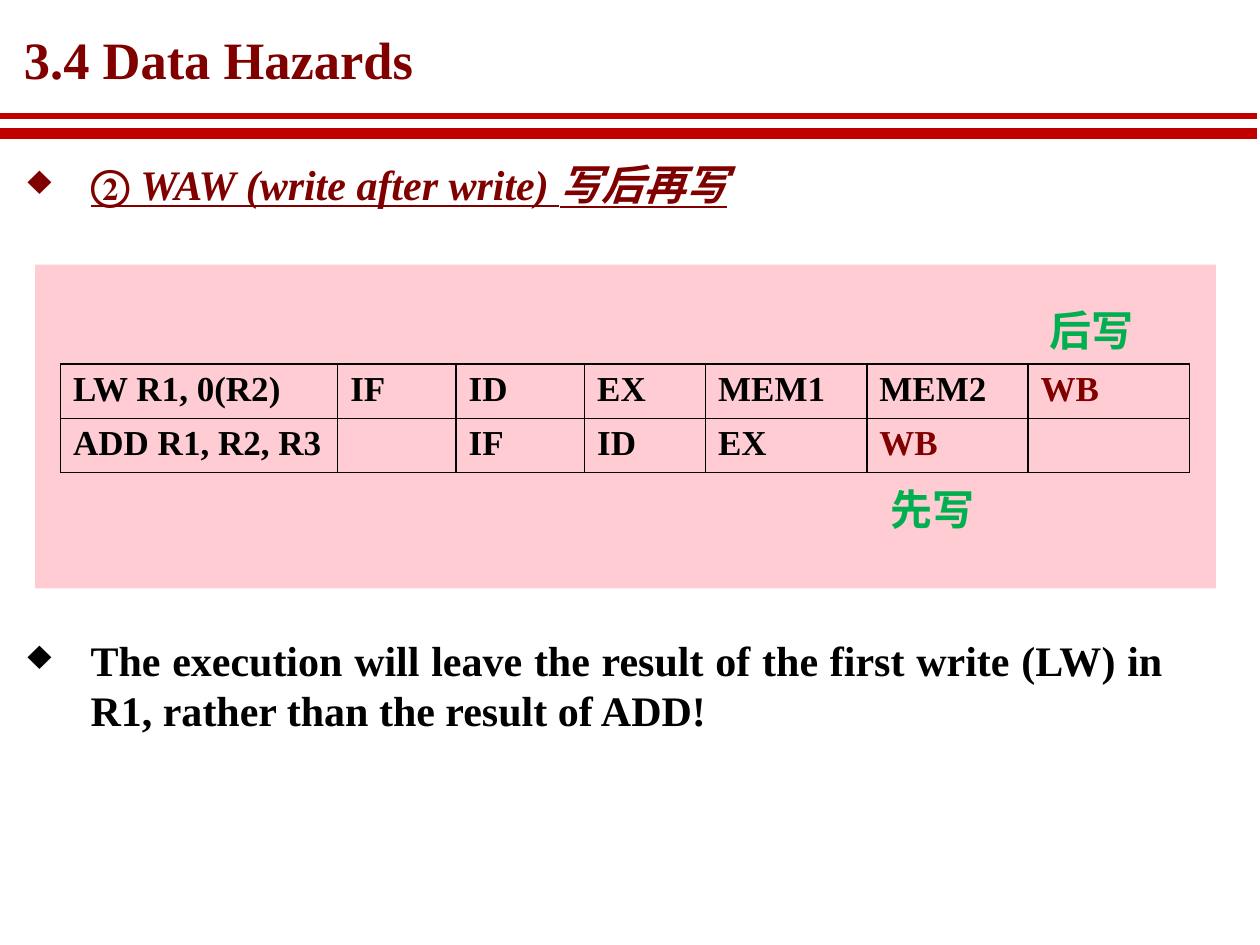
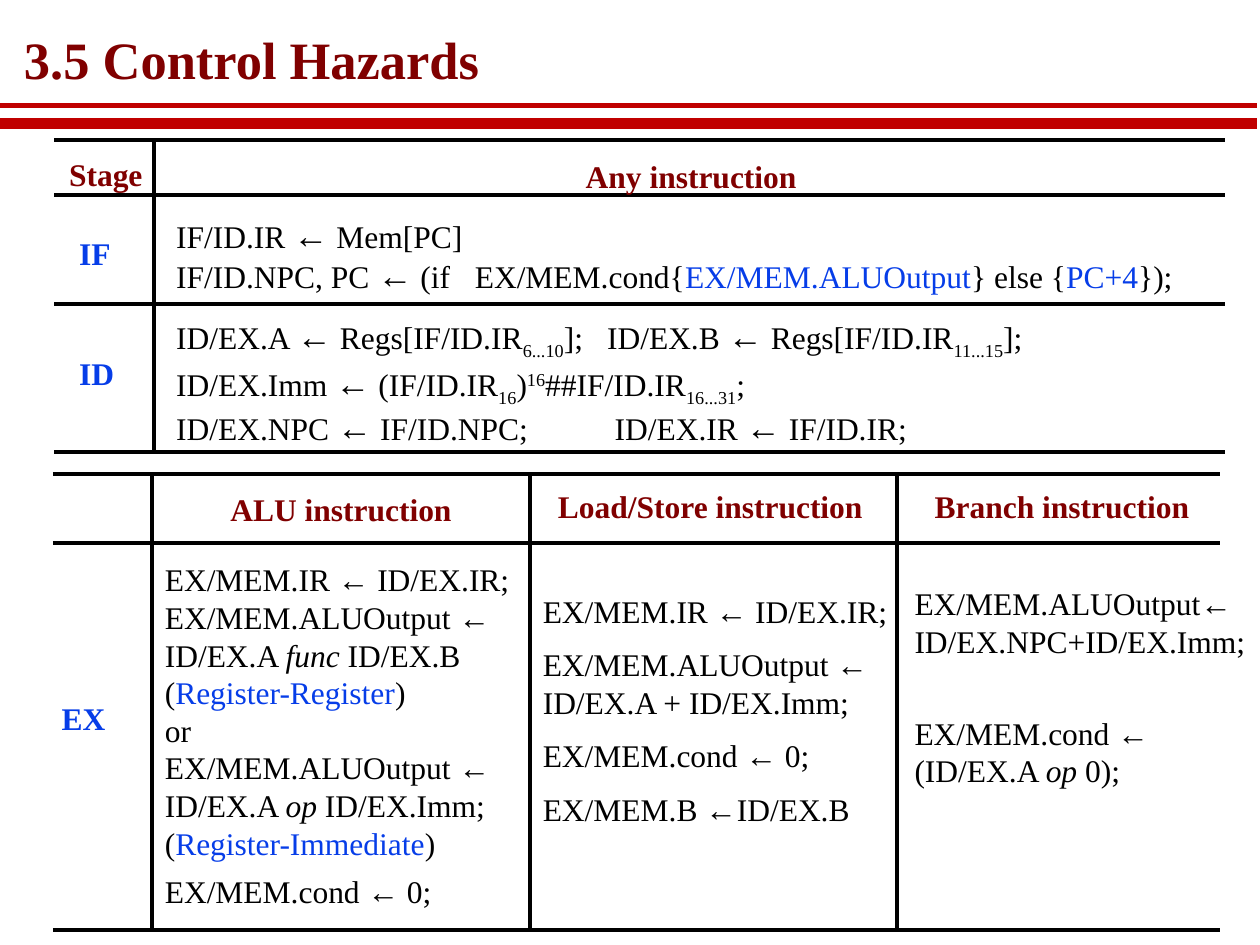
"""Build two lecture slides on pipeline data hazards and control hazards."""
from dataclasses import dataclass, field
from typing import NamedTuple

from lxml import etree
from pptx import Presentation
from pptx.dml.color import RGBColor
from pptx.enum.shapes import MSO_CONNECTOR, MSO_SHAPE
from pptx.enum.text import MSO_ANCHOR, MSO_AUTO_SIZE, PP_ALIGN
from pptx.oxml.ns import qn
from pptx.util import Emu, Pt

PX = 9144
FONT = "Times New Roman"
MAROON = RGBColor(0x80, 0x00, 0x00)
RED = RGBColor(0xC0, 0x00, 0x00)
PINK = RGBColor(0xFF, 0xCC, 0xD4)
BLUE = RGBColor(0x06, 0x3D, 0xE8)
GREEN = RGBColor(0x00, 0xB0, 0x50)
BLACK = RGBColor(0x00, 0x00, 0x00)

STRAIGHT = MSO_CONNECTOR.STRAIGHT
RECT = MSO_SHAPE.RECTANGLE
LEFT, JUSTIFY = PP_ALIGN.LEFT, PP_ALIGN.JUSTIFY
TOP, MIDDLE = MSO_ANCHOR.TOP, MSO_ANCHOR.MIDDLE
NO_FIT = MSO_AUTO_SIZE.NONE

BODY = {"name": FONT, "size": Pt(18), "bold": False, "color": BLACK}
HEAD = BODY | {"bold": True, "color": MAROON}
STAGE = HEAD | {"color": BLUE}
TITLE = HEAD | {"size": Pt(30)}
BULLET = BODY | {"size": Pt(24), "bold": True}
TOPIC = BULLET | {"color": MAROON, "underline": True}
NOTE = BULLET | {"color": GREEN}
CELL = BODY | {"size": Pt(20), "bold": True}
SINGLE = Pt(21.5)
TIGHT = 0.8


class Run(NamedTuple):
    """A piece of text with the format values that differ from its box."""
    text: str
    fmt: dict = {}


@dataclass
class Para:
    """A paragraph: runs, space before in points and a tab stop in px."""
    runs: list[Run]
    before: int = 0
    tab: int = 0


@dataclass
class Box:
    """A text box placed in px."""
    x: int
    y: int
    w: int
    h: int
    paras: list[Para]
    fmt: dict = field(default_factory=lambda: BODY)
    spacing: float | Pt = SINGLE
    bullet: str = ""


class Line(NamedTuple):
    """A straight line between two points in px."""
    x1: int
    y1: int
    x2: int
    y2: int


ARROW = Run("←", {"size": Pt(20)})


def px(n: int) -> Emu:
    """Turn px into EMU."""
    return Emu(n * PX)


def blue(text: str) -> Run:
    """Return a blue run."""
    return Run(text, {"color": BLUE})


def italic(text: str) -> Run:
    """Return an italic run."""
    return Run(text, {"italic": True})


def sub(text: str) -> Run:
    """Return a subscript run."""
    return Run(text, {"baseline": -25000})


def plain(text: str, before: int = 0) -> Para:
    """Return a paragraph of one plain run."""
    return Para([Run(text)], before)


def add_run(p, run: Run, base: dict) -> None:
    """Add a run to a paragraph, with line breaks, and format it."""
    for i, text in enumerate(run.text.split("\n")):
        if i:
            p.add_line_break()
        if not text:
            continue
        r = p.add_run()
        r.text = text
        for key, value in (base | run.fmt).items():
            if key == "color":
                r.font.color.rgb = value
            elif key == "baseline":
                r._r.get_or_add_rPr().set(key, str(value))
            else:
                setattr(r.font, key, value)


def add_box(s, box: Box) -> None:
    """Draw a text box."""
    tf = s.shapes.add_textbox(*map(px, (box.x, box.y, box.w, box.h))).text_frame
    for key, value in {"word_wrap": True, "auto_size": NO_FIT,
                       "vertical_anchor": TOP}.items():
        setattr(tf, key, value)
    for i, para in enumerate(box.paras):
        p = tf.add_paragraph() if i else tf.paragraphs[0]
        pPr = p._p.get_or_add_pPr()
        if box.bullet:
            pPr.set("marL", str(px(50)))
            pPr.set("indent", str(px(-50)))
            etree.SubElement(pPr, qn("a:buChar"), char=box.bullet)
            p.alignment = JUSTIFY
        if para.tab:
            tabs = etree.SubElement(pPr, qn("a:tabLst"))
            etree.SubElement(tabs, qn("a:tab"), pos=str(px(para.tab)), algn="l")
        p.line_spacing = box.spacing
        if para.before:
            p.space_before = Pt(para.before)
        for run in para.runs:
            add_run(p, run, box.fmt)


def add_line(s, line: Line, color: RGBColor = BLACK, width: float = 2.25) -> None:
    """Draw a straight line without a shadow."""
    c = s.shapes.add_connector(STRAIGHT, *map(px, line))
    c.line.color.rgb = color
    c.line.width = Pt(width)
    etree.SubElement(c._element.spPr, qn("a:effectLst"))


def add_titled_slide(prs, title: str, width: int, rule_y: int):
    """Add a slide with its title and double red rule."""
    s = prs.slides.add_slide(prs.slide_layouts[5])
    sp = s.shapes.title
    sp.left, sp.top, sp.width, sp.height = map(px, (12, 25, width, 50))
    tf = sp.text_frame
    for key, value in {"margin_left": px(7), "margin_right": px(7),
                       "margin_top": px(3), "margin_bottom": px(3),
                       "word_wrap": False, "auto_size": NO_FIT,
                       "vertical_anchor": MIDDLE}.items():
        setattr(tf, key, value)
    p = tf.paragraphs[0]
    p.alignment = LEFT
    p.line_spacing = 0.87
    add_run(p, Run(title), TITLE)
    add_line(s, Line(-1, rule_y + 14, 998, rule_y + 14), RED, 6)
    add_line(s, Line(-2, rule_y, 998, rule_y), RED, 3)
    return s


def set_borders(cell) -> None:
    """Give a cell thin black borders on all sides."""
    tcPr = cell._tc.get_or_add_tcPr()
    for i, side in enumerate(("lnL", "lnR", "lnT", "lnB")):
        ln = etree.Element(qn(f"a:{side}"), w=str(Pt(1)))
        fill = etree.SubElement(ln, qn("a:solidFill"))
        etree.SubElement(fill, qn("a:srgbClr"), val=str(BLACK))
        tcPr.insert(i, ln)


def add_pipeline_table(s) -> None:
    """Draw the pipeline stages of the two instructions."""
    rows = [["LW R1, 0(R2)", "IF", "ID", "EX", "MEM1", "MEM2", "WB"],
            ["ADD R1, R2, R3", "", "IF", "ID", "EX", "WB", ""]]
    widths = [220, 94, 102, 96, 128, 128, 128]
    table = s.shapes.add_table(len(rows), len(widths), px(48), px(289),
                               px(sum(widths)), px(86)).table
    table.first_row = table.horz_banding = False
    for col, w in zip(table.columns, widths):
        col.width = px(w)
    for i, row in enumerate(rows):
        for j, text in enumerate(row):
            cell = table.cell(i, j)
            cell.fill.background()
            set_borders(cell)
            color = MAROON if text == "WB" else BLACK
            add_run(cell.text_frame.paragraphs[0], Run(text, {"color": color}), CELL)


def build_data_hazards(prs) -> None:
    """Build the slide on write after write."""
    s = add_titled_slide(prs, "3.4 Data Hazards", 326, 92)
    sp = s.shapes.add_shape(RECT, *map(px, (28, 210, 937, 257)))
    sp.shadow.inherit = False
    sp.fill.solid()
    sp.fill.fore_color.rgb = PINK
    sp.line.fill.background()
    add_pipeline_table(s)
    topic = [Run("② "), italic("WAW (write after write) 写后再写")]
    result = ("The execution will leave the result of the first write (LW) in R1, "
              "rather than the result of ADD!")
    for box in (Box(12, 121, 975, 60, [Para(topic)], TOPIC, Pt(29), "♦"),
                Box(12, 498, 921, 91, [plain(result)], BULLET, Pt(29), "♦"),
                Box(697, 379, 88, 50, [plain("先写")], NOTE, 1.0),
                Box(823, 237, 88, 50, [plain("后写")], NOTE, 1.0)):
        add_box(s, box)


def build_control_hazards(prs) -> None:
    """Build the slide with the operations of each pipeline stage."""
    s = add_titled_slide(prs, "3.5 Control Hazards", 380, 84)
    for y in (111, 155, 241, 359):
        add_line(s, Line(43, y, 972, y))
    for y in (376, 431, 738):
        add_line(s, Line(42, y, 968, y))
    add_line(s, Line(122, 111, 122, 359))
    for x in (121, 421, 712):
        add_line(s, Line(x, 376, x, 738))

    for x, y, w, text, fmt in ((45, 118, 100, "Stage", HEAD),
                               (455, 120, 275, "Any instruction", HEAD),
                               (173, 384, 202, "ALU instruction", HEAD),
                               (433, 382, 361, "Load/Store instruction", HEAD),
                               (732, 382, 233, "Branch instruction", HEAD),
                               (53, 181, 46, "IF", STAGE),
                               (53, 276, 60, "ID", STAGE),
                               (39, 550, 59, "EX", STAGE)):
        add_box(s, Box(x, y, w, 40, [plain(text)], fmt))

    regs = Run(" Regs[IF/ID.IR")
    for y, para in (
            (171, Para([Run("IF/ID.IR "), ARROW, Run(" Mem[PC]")])),
            (203, Para([Run("IF/ID.NPC, PC "), ARROW, Run(" (if\tEX/MEM.cond{"),
                        blue("EX/MEM.ALUOutput"), Run("} else {"), blue("PC+4"),
                        Run("});")], tab=237)),
            (249, Para([Run("ID/EX.A "), ARROW, regs, sub("6...10"),
                        Run("];\tID/EX.B "), ARROW, regs, sub("11...15"),
                        Run("];")], tab=342)),
            (286, Para([Run("ID/EX.Imm "), ARROW, Run(" (IF/ID.IR"), sub("16"),
                        Run(")"), Run("16", {"baseline": 30000}),
                        Run("##IF/ID.IR"), sub("16...31"), Run(";")])),
            (323, Para([Run("ID/EX.NPC "), ARROW, Run(" IF/ID.NPC;\tID/EX.IR "),
                        ARROW, Run(" IF/ID.IR;")], tab=348))):
        add_box(s, Box(130, y, 832, 37, [para], spacing=TIGHT))

    alu = [plain("EX/MEM.IR ← ID/EX.IR;"),
           Para([Run("EX/MEM.ALUOutput ←\nID/EX.A "), italic("func"),
                 Run(" ID/EX.B")]),
           Para([Run("("), blue("Register-Register"),
                 Run(")\nor\nEX/MEM.ALUOutput ←\nID/EX.A "), italic("op"),
                 Run(" ID/EX.Imm;")]),
           Para([Run("("), blue("Register-Immediate"), Run(")")]),
           plain("EX/MEM.cond ← 0;", 6)]
    load_store = [plain("EX/MEM.IR ← ID/EX.IR;"),
                  plain("EX/MEM.ALUOutput ←\nID/EX.A + ID/EX.Imm;", 9),
                  plain("EX/MEM.cond ← 0;", 9),
                  plain("EX/MEM.B ←ID/EX.B", 9)]
    branch = [plain("EX/MEM.ALUOutput←\nID/EX.NPC+ID/EX.Imm;"),
              Para([Run("EX/MEM.cond ←\n(ID/EX.A "), italic("op"), Run(" 0);")], 31)]
    for box in (Box(121, 440, 315, 291, alu),
                Box(421, 465, 306, 252, load_store),
                Box(716, 459, 288, 175, branch)):
        add_box(s, box)


def main() -> None:
    """Build and save the presentation."""
    prs = Presentation()
    prs.slide_width, prs.slide_height = px(1000), px(750)
    build_data_hazards(prs)
    build_control_hazards(prs)
    prs.save("out.pptx")


if __name__ == "__main__":
    main()
